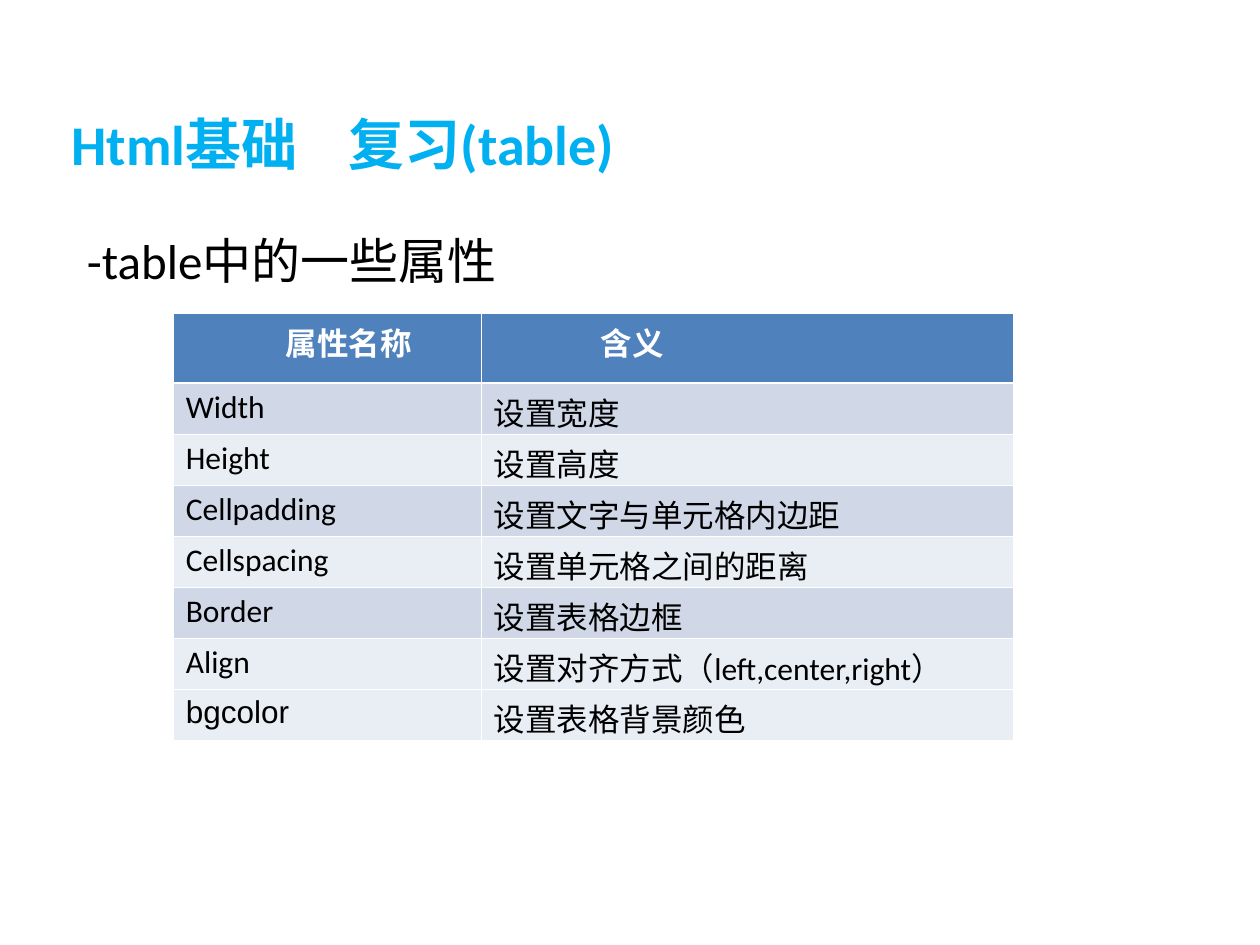
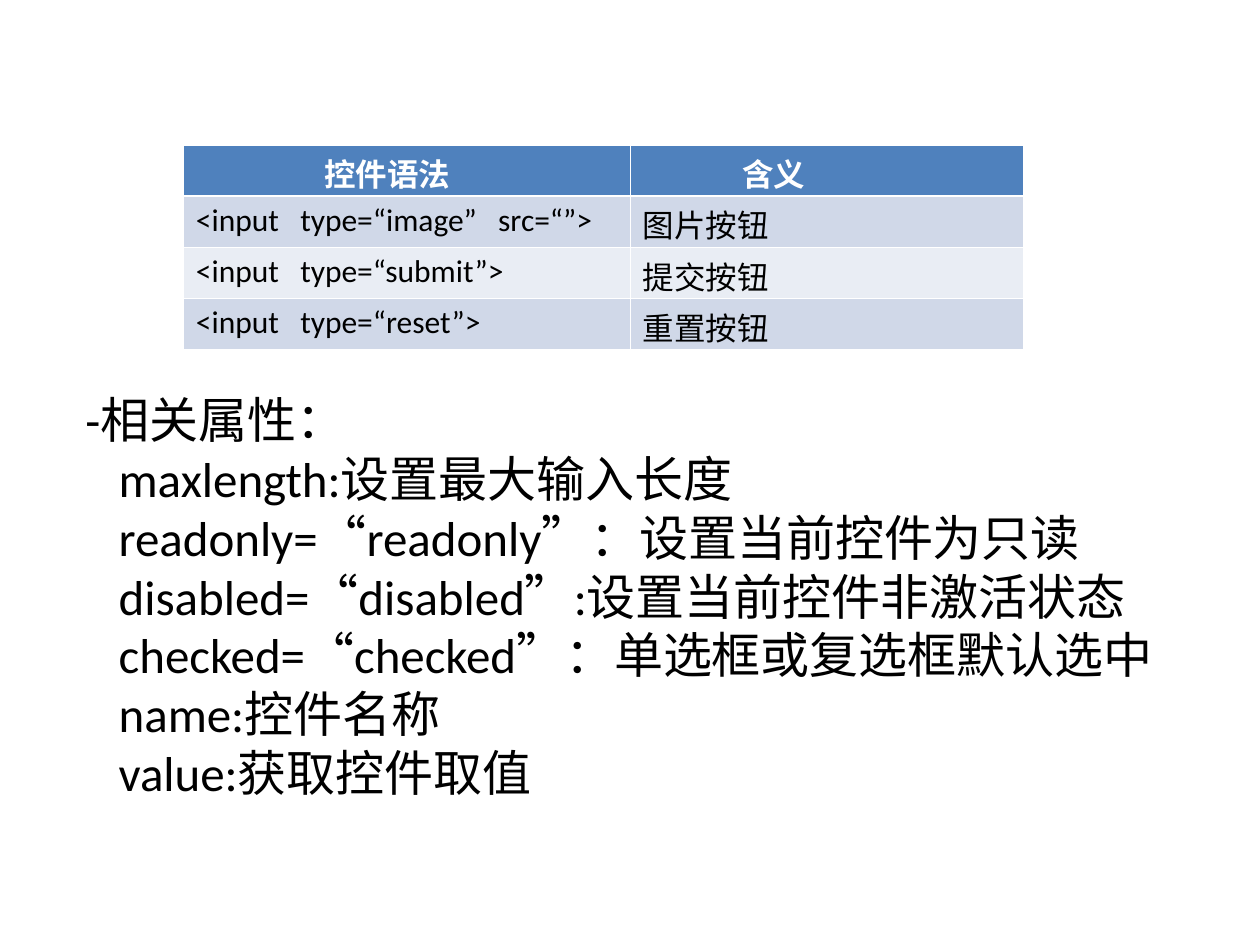
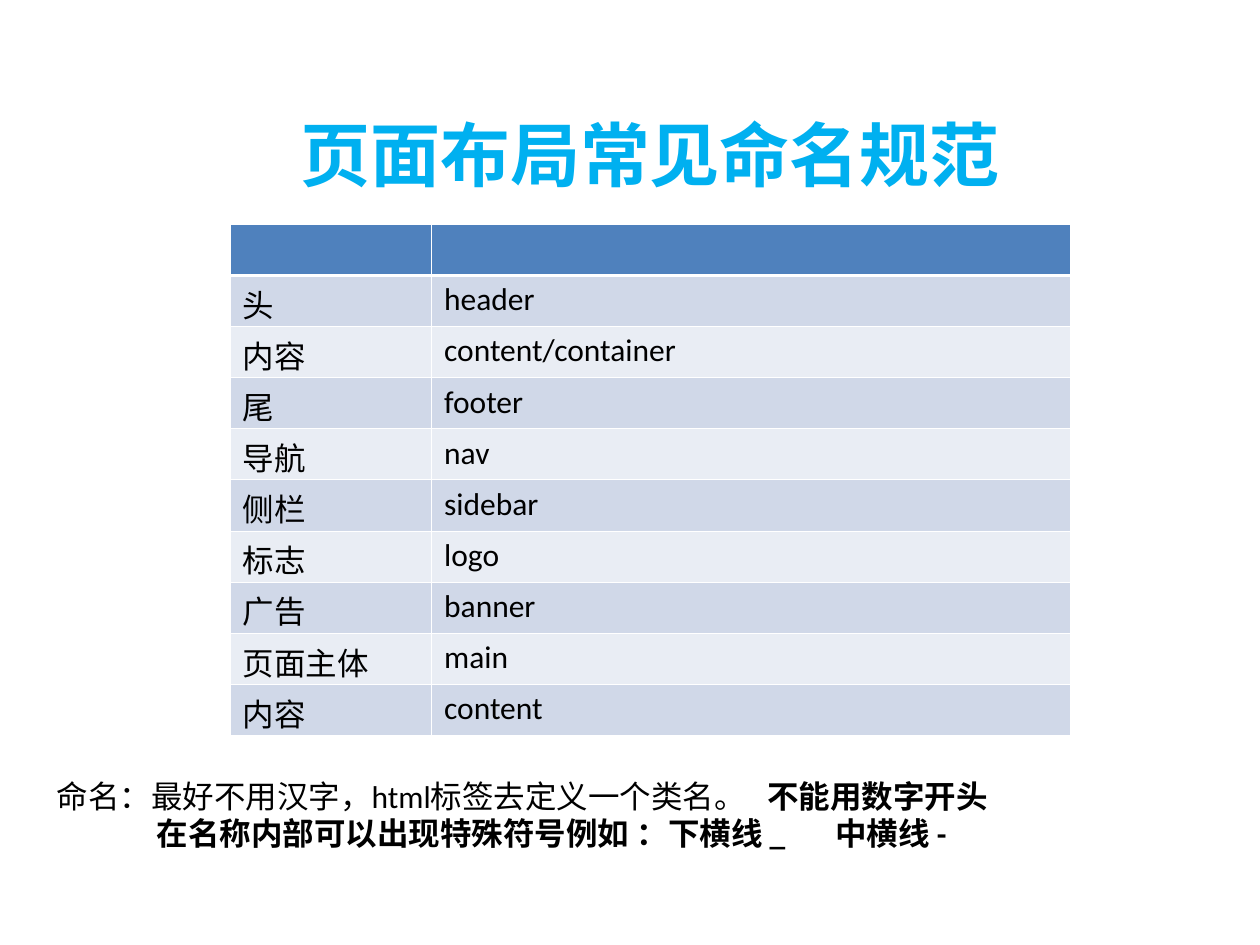
from dataclasses import dataclass

from lxml.etree import SubElement
from pptx import Presentation
from pptx.dml.color import RGBColor
from pptx.enum.text import MSO_ANCHOR, MSO_AUTO_SIZE, PP_ALIGN
from pptx.oxml.ns import qn
from pptx.util import Pt

# Shared look
SKY = RGBColor(0x00, 0xB0, 0xF0)
BLACK = RGBColor(0x00, 0x00, 0x00)
WHITE = RGBColor(0xFF, 0xFF, 0xFF)
HEADER_BLUE = RGBColor(0x4F, 0x81, 0xBD)
BAND_DARK = RGBColor(0xD0, 0xD8, 0xE8)
BAND_LIGHT = RGBColor(0xE9, 0xED, 0xF4)
FONT = "Calibri"
ROW_HEIGHT = 29.2
THIN, THICK = 0.45, 1.47

FRAME = {
    "word_wrap": True, "auto_size": MSO_AUTO_SIZE.NONE,
    "vertical_anchor": MSO_ANCHOR.TOP,
    "margin_left": Pt(7.2), "margin_right": Pt(7.2),
    "margin_top": Pt(3.6), "margin_bottom": Pt(3.6),
}
# Tight margins keep the rows of Chinese text at ROW_HEIGHT
CELL = {"margin_left": Pt(7.2), "margin_right": Pt(7.2),
        "margin_top": Pt(3.1), "margin_bottom": Pt(0)}


@dataclass
class Line:
    """A paragraph: plain text, bold text, then a bold tail after a gap."""
    plain: str = ""
    bold: str = ""
    indent: float = 0
    gap: float = 0
    tail: str = ""


def apply(target, values):
    for name, value in values.items():
        setattr(target, name, value)


def write_line(paragraph, line, size, color, align=PP_ALIGN.LEFT):
    properties = paragraph._p.get_or_add_pPr()
    properties.set("marL", "0")
    properties.set("indent", str(Pt(line.indent)))
    SubElement(properties, qn("a:buNone"))
    apply(paragraph, {"alignment": align, "space_before": Pt(0)})
    # The gap is a single space, widened by character spacing
    parts = ((line.plain, False, 0), (line.bold, True, 0),
             (" " if line.gap else "", True, line.gap),
             (line.tail, True, 0))
    for words, bold, spacing in parts:
        if not words:
            continue
        run = paragraph.add_run()
        run.text = words
        apply(run.font, {"name": FONT, "size": Pt(size), "bold": bold})
        run.font.color.rgb = color
        if spacing:
            run._r.get_or_add_rPr().set("spc", str(round(spacing * 100)))


def fill_placeholder(placeholder, box, lines, size, color=BLACK,
                     align=PP_ALIGN.LEFT):
    apply(placeholder, dict(zip(("left", "top", "width", "height"),
                                map(Pt, box))))
    frame = placeholder.text_frame
    apply(frame, FRAME)
    for number, line in enumerate(lines):
        paragraph = frame.add_paragraph() if number else frame.paragraphs[0]
        write_line(paragraph, line, size, color, align)


def border_cell(cell, row):
    widths = {"L": THIN, "R": THIN,
              "T": THICK if row == 1 else THIN,
              "B": THICK if row == 0 else THIN}
    properties = cell._tc.get_or_add_tcPr()
    for side, width in widths.items():
        edge = SubElement(properties, qn(f"a:ln{side}"), w=str(Pt(width)))
        fill = SubElement(edge, qn("a:solidFill"))
        SubElement(fill, qn("a:srgbClr"), val=str(WHITE))


def add_banded_table(slide, left, top, columns, header, rows,
                     header_height=ROW_HEIGHT):
    """Blue header row, then rows of text in alternating bands."""
    heights = [header_height] + [ROW_HEIGHT] * len(rows)
    table = slide.shapes.add_table(
        len(heights), len(columns), Pt(left), Pt(top),
        Pt(sum(columns)), Pt(sum(heights))).table
    for column, width in zip(table.columns, columns):
        column.width = Pt(width)
    lines = [header] + [[Line(words) for words in row] for row in rows]
    for r, height in enumerate(heights):
        table.rows[r].height = Pt(height)
        band = BAND_DARK if r % 2 else BAND_LIGHT
        for c, line in enumerate(lines[r]):
            cell = table.cell(r, c)
            apply(cell, CELL)
            border_cell(cell, r)
            cell.fill.solid()
            cell.fill.fore_color.rgb = band if r else HEADER_BLUE
            write_line(cell.text_frame.paragraphs[0], line, 18,
                       BLACK if r else WHITE)
    return table


def new_slide(deck):
    slide = deck.slides.add_slide(deck.slide_layouts[1])
    return slide, slide.shapes.title, slide.placeholders[1]


def build_table_attributes(deck):
    slide, title, body = new_slide(deck)
    fill_placeholder(title, (33.7, 59, 669, 46),
                     [Line(bold="Html基础", gap=21.7, tail="复习(table)")],
                     32, SKY)
    fill_placeholder(body, (42.5, 128, 646.5, 75),
                     [Line("-table中的一些属性")], 28)
    attributes = add_banded_table(
        slide, 99, 179.3, (176, 304.3),
        [Line(bold="属性名称", indent=57), Line(bold="含义", indent=61)],
        [("Width", "设置宽度"),
         ("Height", "设置高度"),
         ("Cellpadding", "设置文字与单元格内边距"),
         ("Cellspacing", "设置单元格之间的距离"),
         ("Border", "设置表格边框"),
         ("Align", "设置对齐方式（left,center,right）"),
         ("bgcolor", "设置表格背景颜色")],
        header_height=39.6)
    # The last row keeps the light band and sets its name in Arial
    for cell in attributes.rows[7].cells:
        cell.fill.fore_color.rgb = BAND_LIGHT
    bgcolor_name = attributes.cell(7, 0).text_frame.paragraphs[0].runs[0]
    bgcolor_name.font.name = "Arial"


def build_input_controls(deck):
    slide, title, body = new_slide(deck)
    title._element.getparent().remove(title._element)
    add_banded_table(
        slide, 104.8, 82.8, (255.2, 224.8),
        [Line(bold="控件语法", indent=73.3), Line(bold="含义", indent=57)],
        [("<input   type=“image”   src=“”>", "图片按钮"),
         ("<input   type=“submit”>", "提交按钮"),
         ("<input   type=“reset”>", "重置按钮")])
    attributes = ("maxlength:设置最大输入长度",
                  "readonly=“readonly”：设置当前控件为只读",
                  "disabled=“disabled”:设置当前控件非激活状态",
                  "checked=“checked”：单选框或复选框默认选中",
                  "name:控件名称",
                  "value:获取控件取值")
    fill_placeholder(body, (41.6, 219, 635, 242.6),
                     [Line("-相关属性：")]
                     + [Line(words, indent=19) for words in attributes], 28)


def build_naming_rules(deck):
    slide, title, body = new_slide(deck)
    fill_placeholder(title, (82.4, 60.2, 578, 55.5),
                     [Line(bold="页面布局常见命名规范")], 40, SKY,
                     PP_ALIGN.CENTER)
    add_banded_table(
        slide, 131.4, 128.2, (115.2, 365), [Line(), Line()],
        [("头", "header"), ("内容", "content/container"), ("尾", "footer"),
         ("导航", "nav"), ("侧栏", "sidebar"), ("标志", "logo"),
         ("广告", "banner"), ("页面主体", "main"), ("内容", "content")])
    fill_placeholder(
        body, (25.2, 440.2, 680.4, 50.4),
        [Line("命名：最好不用汉字，html标签去定义一个类名。",
              gap=8.1, tail="不能用数字开头"),
         Line(bold="在名称内部可以出现特殊符号例如 ：下横线 _",
              indent=57.3, gap=24.4, tail="中横线 -")], 18)


def main():
    deck = Presentation()
    apply(deck, {"slide_width": Pt(720), "slide_height": Pt(540)})
    for build in (build_table_attributes, build_input_controls,
                  build_naming_rules):
        build(deck)
    deck.save("out.pptx")


if __name__ == "__main__":
    main()
